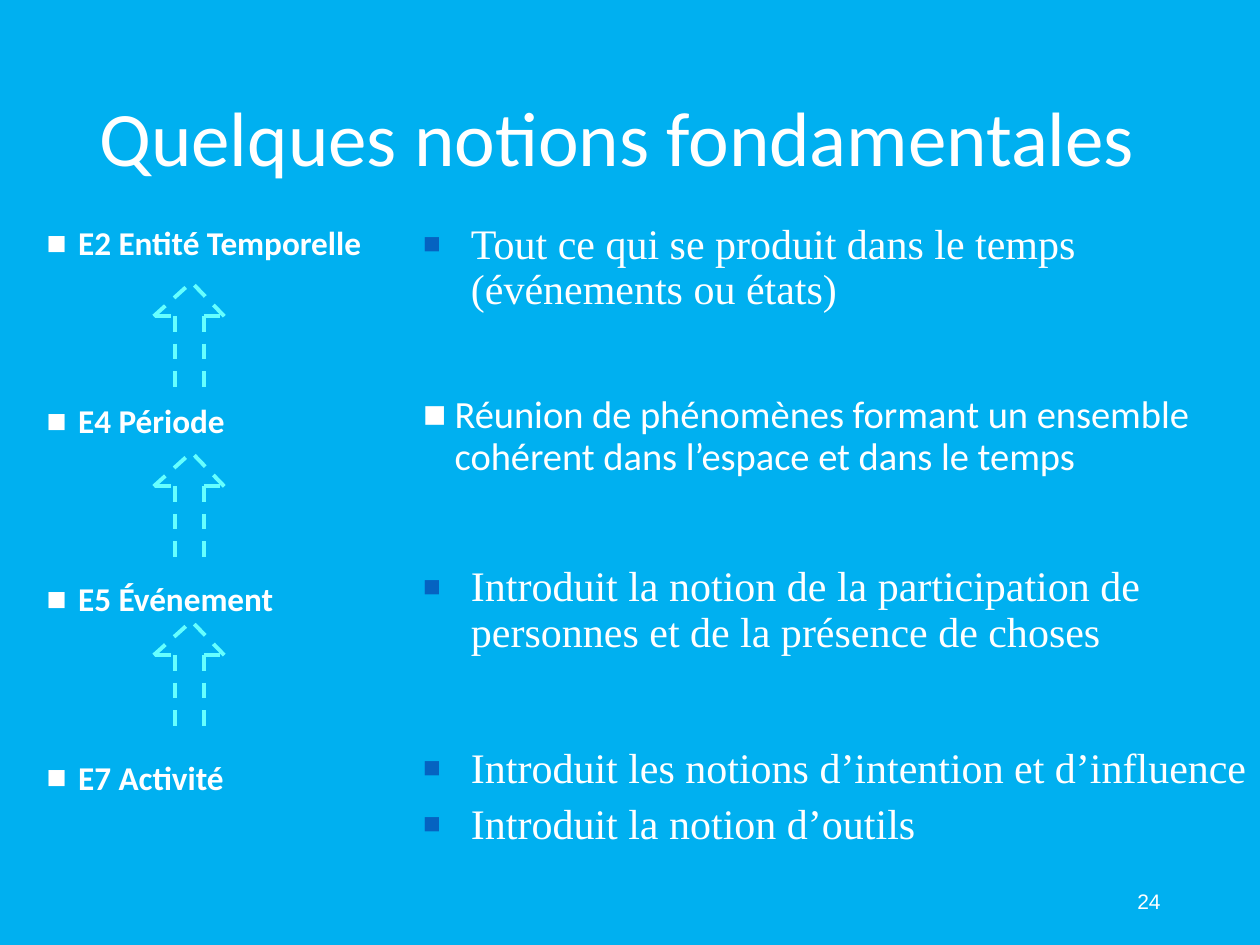
from lxml.etree import SubElement
from pptx import Presentation
from pptx.dml.color import RGBColor
from pptx.enum.dml import MSO_LINE
from pptx.enum.shapes import MSO_CONNECTOR
from pptx.enum.text import MSO_ANCHOR, MSO_AUTO_SIZE, PP_ALIGN
from pptx.oxml.ns import qn
from pptx.util import Inches, Pt

SKY = RGBColor(0x00, 0xB0, 0xF0)
WHITE = RGBColor(0xFF, 0xFF, 0xFF)
BLUE = RGBColor(0x05, 0x63, 0xC1)
CYAN = RGBColor(0x66, 0xFF, 0xFF)

# Content
TITLE = "Quelques notions fondamentales"
TERMS = ["E2 Entité Temporelle", "E4 Période", "E5 Événement", "E7 Activité"]
PAGE = "24"

# Text styles
HEAD = dict(font="Calibri", size=44)
TERM = dict(font="Calibri", size=19, bold=True, mark=WHITE, indent=0.25,
            before=10, after=71.3)
PLAIN = dict(font="Calibri", size=22, mark=WHITE, indent=0.25, before=10)
SERIF = dict(font="Times New Roman", size=24, mark=BLUE, scale=70,
             indent=0.38, before=6)
FOOT = dict(font="Arial", size=12, align=PP_ALIGN.RIGHT, spacing=1)

# Notes beside the terms: top, height, style, lines
NOTES = [
    (1.72, 1.18, SERIF,
     ["Tout ce qui se produit dans le temps (événements ou états)"]),
    (3.09, 0.98, PLAIN,
     ["Réunion de phénomènes formant un ensemble cohérent dans l’espace"
      " et dans le temps"]),
    (4.44, 0.89, SERIF,
     ["Introduit la notion de la participation de personnes et de la"
      " présence de choses"]),
    (5.88, 1.18, SERIF,
     ["Introduit les notions d’intention et d’influence",
      "Introduit la notion d’outils"]),
]
NOTE_X, NOTE_W = 3.26, 6.74

# Dashed arrows: tops, then strokes as x and drop from the tip
ARROWS = [3.59, 4.93, 2.24]
NECK, FOOT_Y = 0.27, 0.88
STROKES = [
    ((1.39, NECK), (1.39, FOOT_Y)), ((1.62, NECK), (1.62, FOOT_Y)),
    ((1.23, NECK), (1.39, NECK)), ((1.62, NECK), (1.78, NECK)),
    ((1.22, NECK), (1.52, 0)), ((1.78, NECK), (1.52, 0)),
]


def add_mark(para, color, indent, scale):
    props = para._p.get_or_add_pPr()
    props.set("marL", str(Inches(indent)))
    props.set("indent", str(-Inches(indent)))
    tint = SubElement(props, qn("a:buClr"))
    SubElement(tint, qn("a:srgbClr"), val=str(color))
    SubElement(props, qn("a:buSzPct"), val=str(scale * 1000))
    SubElement(props, qn("a:buFont"), typeface="Arial")
    SubElement(props, qn("a:buChar"), char="■")


def write(shape, lines, font, size, bold=False, mark=None, scale=100, indent=0,
          before=0, after=0, align=PP_ALIGN.LEFT, spacing=0.9,
          anchor=MSO_ANCHOR.TOP):
    frame = shape.text_frame
    frame.word_wrap = True
    frame.auto_size = MSO_AUTO_SIZE.NONE
    frame.vertical_anchor = anchor
    for i, line in enumerate(lines):
        para = frame.add_paragraph() if i else frame.paragraphs[0]
        if mark is not None:
            add_mark(para, mark, indent, scale)
        para.alignment = align
        para.line_spacing = spacing
        para.space_before = Pt(before if i else 0)
        para.space_after = Pt(after)
        run = para.add_run()
        run.text = line
        run.font.name = font
        run.font.size = Pt(size)
        run.font.bold = bold
        run.font.color.rgb = WHITE


def place(shape, *box):
    shape.left, shape.top, shape.width, shape.height = map(Inches, box)
    return shape


def add_box(slide, *box):
    return slide.shapes.add_textbox(*map(Inches, box))


def add_arrow(slide, top):
    group = slide.shapes.add_group_shape()
    for (x1, y1), (x2, y2) in STROKES:
        ends = map(Inches, (x1, top + y1, x2, top + y2))
        line = group.shapes.add_connector(MSO_CONNECTOR.STRAIGHT, *ends)
        line.line.color.rgb = CYAN
        line.line.width = Pt(2.25)
        line.line.dash_style = MSO_LINE.DASH
        SubElement(line._element.spPr, qn("a:effectLst"))


def main():
    deck = Presentation()
    deck.slide_width, deck.slide_height = Inches(10), Inches(7.5)
    slide = deck.slides.add_slide(deck.slide_layouts[1])
    slide.background.fill.solid()
    slide.background.fill.fore_color.rgb = SKY

    # Title and terms
    title, body = slide.placeholders
    write(place(title, 0.69, 0.4, 8.63, 1.45), [TITLE],
          anchor=MSO_ANCHOR.MIDDLE, **HEAD)
    write(place(body, 0.27, 1.75, 4.42, 4.95), TERMS, **TERM)

    # Notes
    for top, height, style, lines in NOTES:
        write(add_box(slide, NOTE_X, top, NOTE_W, height), lines, **style)

    # Arrows between terms
    for top in ARROWS:
        add_arrow(slide, top)

    # Page number
    write(add_box(slide, 7.06, 6.95, 2.25, 0.4), [PAGE],
          anchor=MSO_ANCHOR.MIDDLE, **FOOT)
    deck.save("out.pptx")


if __name__ == "__main__":
    main()
